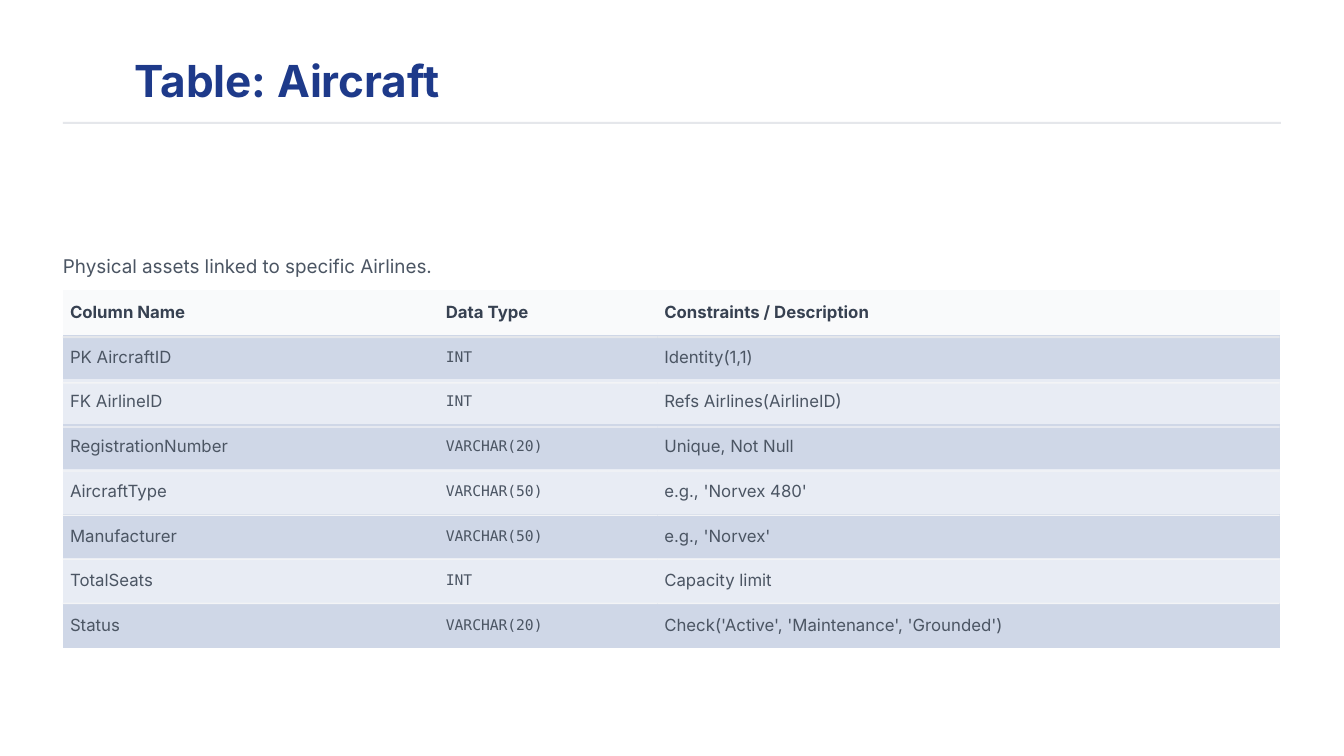
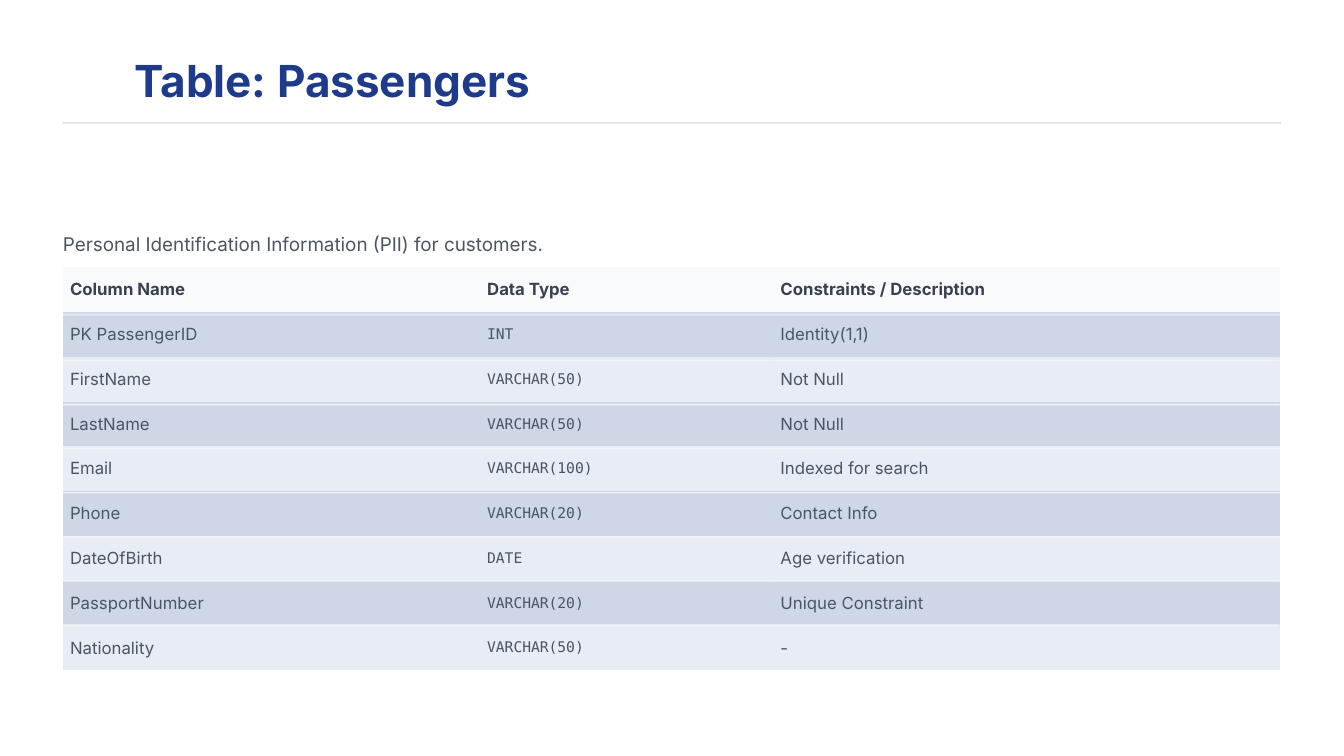
"""Build two database schema slides, each with a title, a caption and a table of columns."""
from dataclasses import dataclass

from pptx import Presentation
from pptx.dml.color import RGBColor
from pptx.enum.shapes import MSO_SHAPE
from pptx.enum.text import MSO_ANCHOR, PP_ALIGN
from pptx.oxml.ns import qn
from pptx.util import Pt


@dataclass(frozen=True)
class Theme:
    white: str = "FFFFFF"
    title: str = "1E3A8A"
    heading: str = "374151"
    body: str = "4B5563"
    rule: str = "E5E7EB"
    row_rule: str = "F3F4F6"
    header_fill: str = "F9FAFB"
    bands: tuple = ("CFD7E7", "E8ECF4")
    sans: str = "Inter"
    mono: str = "DejaVu Sans Mono"
    title_size: float = 31.5
    caption_size: float = 13.5
    cell_size: float = 12
    code_size: float = 10.5


T = Theme()
PX = 6350
LEFT, WIDTH = 90, 1740
ROW_H, CAPTION_H, CAPTION_STEP = 64, 43, 69
CONTENT_MIDDLE = 636
HEADER_RULE, FIRST_ROW_RULE, RULE_STEP = 66, 132, 63
NO_GRID_STYLE = "{2D5ABB26-0587-4C30-8999-92F81FD0307C}"
HEADER = ("Column Name", "Data Type", "Constraints / Description")

SLIDES = [
    ("Table: Aircraft", "Physical assets linked to specific Airlines.", (537, 312, 889), [
        ("PK AircraftID", "INT", "Identity(1,1)"),
        ("FK AirlineID", "INT", "Refs Airlines(AirlineID)"),
        ("RegistrationNumber", "VARCHAR(20)", "Unique, Not Null"),
        ("AircraftType", "VARCHAR(50)", "e.g., 'Norvex 480'"),
        ("Manufacturer", "VARCHAR(50)", "e.g., 'Norvex'"),
        ("TotalSeats", "INT", "Capacity limit"),
        ("Status", "VARCHAR(20)", "Check('Active', 'Maintenance', 'Grounded')"),
    ]),
    ("Table: Passengers", "Personal Identification Information (PII) for customers.", (596, 419, 723), [
        ("PK PassengerID", "INT", "Identity(1,1)"),
        ("FirstName", "VARCHAR(50)", "Not Null"),
        ("LastName", "VARCHAR(50)", "Not Null"),
        ("Email", "VARCHAR(100)", "Indexed for search"),
        ("Phone", "VARCHAR(20)", "Contact Info"),
        ("DateOfBirth", "DATE", "Age verification"),
        ("PassportNumber", "VARCHAR(20)", "Unique Constraint"),
        ("Nationality", "VARCHAR(50)", "-"),
    ]),
]


def write(tf, text, size, color, bold=False, font=T.sans):
    tf.text = text
    p = tf.paragraphs[0]
    p.alignment = PP_ALIGN.LEFT
    r = p.runs[0]
    r.font.name, r.font.size, r.font.bold = font, Pt(size), bold
    r.font.color.rgb = RGBColor.from_string(color)
    return p


def add_rule(s, x, y, w, h, color):
    sp = s.shapes.add_shape(MSO_SHAPE.RECTANGLE, x * PX, y * PX, w * PX, h * PX)
    sp.shadow.inherit = False
    sp.fill.solid()
    sp.fill.fore_color.rgb = RGBColor.from_string(color)
    sp.line.fill.background()


prs = Presentation()
prs.slide_width, prs.slide_height = 1920 * PX, 1080 * PX
bg = prs.slide_master.background.fill
bg.solid()
bg.fore_color.rgb = RGBColor.from_string(T.white)

for title, caption, widths, records in SLIDES:
    s = prs.slides.add_slide(prs.slide_layouts[5])
    rows = [HEADER, *records]
    caption_top = (2 * CONTENT_MIDDLE - CAPTION_STEP - ROW_H * len(rows)) // 2
    table_top = caption_top + CAPTION_STEP

    sp = s.shapes.title
    sp.left, sp.top, sp.width, sp.height = 192 * PX, 75 * PX, 1720 * PX, 79 * PX
    write(sp.text_frame, title, T.title_size, T.title, bold=True)
    sp.text_frame.vertical_anchor = MSO_ANCHOR.MIDDLE
    add_rule(s, LEFT, 174, WIDTH, 3, T.rule)

    box = s.shapes.add_textbox(LEFT * PX, caption_top * PX, WIDTH * PX, CAPTION_H * PX)
    write(box.text_frame, caption, T.caption_size, T.body).line_spacing = 1.6
    for tf in (sp.text_frame, box.text_frame):
        tf.word_wrap = True
        tf.margin_left = tf.margin_right = tf.margin_top = tf.margin_bottom = 0

    frame = s.shapes.add_table(len(rows), len(widths), LEFT * PX, table_top * PX,
                               sum(widths) * PX, ROW_H * len(rows) * PX)
    frame.element.find(".//" + qn("a:tableStyleId")).text = NO_GRID_STYLE
    table = frame.table
    for column, width in zip(table.columns, widths):
        column.width = width * PX
    for i, row in enumerate(rows):
        table.rows[i].height = ROW_H * PX
        for j, text in enumerate(row):
            cell = table.cell(i, j)
            cell.vertical_anchor = MSO_ANCHOR.MIDDLE
            cell.margin_left = cell.margin_right = 10 * PX
            cell.margin_top = cell.margin_bottom = 5 * PX
            cell.fill.solid()
            fill = T.bands[(i - 1) % 2] if i else T.header_fill
            cell.fill.fore_color.rgb = RGBColor.from_string(fill)
            if i == 0:
                write(cell.text_frame, text, T.cell_size, T.heading, bold=True)
            elif j == 1:
                write(cell.text_frame, text, T.code_size, T.body, font=T.mono)
            else:
                write(cell.text_frame, text, T.cell_size, T.body)

    rules = [(HEADER_RULE, 3, T.rule)]
    rules += [(FIRST_ROW_RULE + RULE_STEP * k, 2, T.row_rule) for k in range(len(records) - 1)]
    for offset, height, color in rules:
        for j, width in enumerate(widths):
            add_rule(s, LEFT + sum(widths[:j]), table_top + offset, width, height, color)

prs.save("out.pptx")
